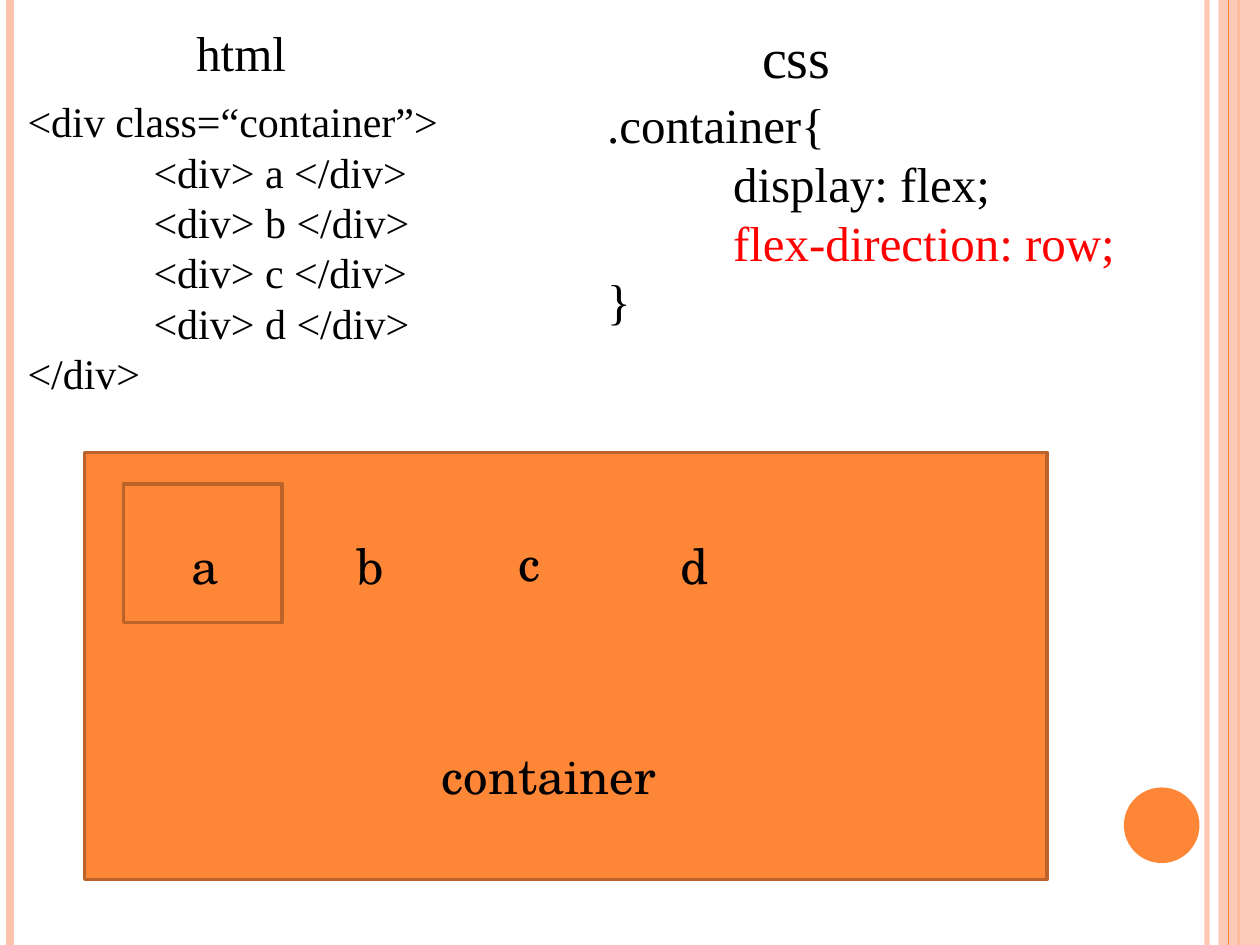
from lxml.etree import SubElement
from pptx import Presentation
from pptx.dml.color import RGBColor
from pptx.enum.shapes import MSO_CONNECTOR, MSO_SHAPE
from pptx.oxml.ns import qn
from pptx.util import Inches, Pt

ORANGE, BROWN, PEACH = "FE8637", "BC6329", "FEC3AE"
BLACK, RED = "000000", "FF0000"
SERIF, SCHOOL = "Times New Roman", "TeX Gyre Schola"

HTML_CODE = [
    [("<div class=“container”>", BLACK)],
    *[[(f"\t<div> {name} </div>", BLACK)] for name in "abcd"],
    [("</div>", BLACK)],
]
CSS_CODE = [
    [(".container{", BLACK)],
    [("\tdisplay: flex;", BLACK)],
    [("\t", BLACK), ("flex-direction: row;", RED)],
    [("}", BLACK)],
]


def rgb(color):
    return RGBColor.from_string(color)


def set_alpha(fill, color, percent):
    """Colour a fill and make it partly transparent."""
    fill.solid()
    fill.fore_color.rgb = rgb(color)
    if percent < 100:
        clr = fill._xPr.find(qn("a:solidFill"))[0]
        SubElement(clr, qn("a:alpha")).set("val", str(percent * 1000))


def add_stripe(s, x, color, width, alpha=100):
    """Draw a vertical line over the full slide height."""
    line = s.shapes.add_connector(
        MSO_CONNECTOR.STRAIGHT, Inches(x), 0, Inches(x), Inches(7.5))
    set_alpha(line.line.fill, color, alpha)
    line.line.width = Pt(width)
    SubElement(line._element.spPr, qn("a:effectLst"))


def add_filled(s, kind, x, y, w, h, color, outline=None, alpha=100):
    sp = s.shapes.add_shape(kind, Inches(x), Inches(y), Inches(w), Inches(h))
    sp.shadow.inherit = False
    set_alpha(sp.fill, color, alpha)
    if outline:
        sp.line.color.rgb = rgb(outline)
        sp.line.width = Pt(2)
    else:
        sp.line.fill.background()


def set_tab(p, position):
    """Give a paragraph one left tab stop."""
    tabs = SubElement(p._p.get_or_add_pPr(), qn("a:tabLst"))
    tab = SubElement(tabs, qn("a:tab"))
    tab.set("pos", str(Inches(position)))
    tab.set("algn", "l")


def add_text(s, x, y, w, h, lines, size, font=SERIF):
    """Add a text box; each line is a list of (text, colour) runs."""
    tf = s.shapes.add_textbox(Inches(x), Inches(y), Inches(w), Inches(h)).text_frame
    tf.word_wrap = True
    for i, runs in enumerate(lines):
        p = tf.paragraphs[0] if i == 0 else tf.add_paragraph()
        if runs[0][0].startswith("\t"):
            set_tab(p, 1)
        for text, color in runs:
            r = p.add_run()
            r.text = text
            r.font.size = Pt(size)
            r.font.name = font
            r.font.color.rgb = rgb(color)


def add_label(s, x, y, w, h, text, size, font=SERIF):
    add_text(s, x, y, w, h, [[(text, BLACK)]], size, font)


def add_frame(s):
    add_stripe(s, 9.58, PEACH, 3, alpha=93)
    add_stripe(s, 0.08, PEACH, 4.5)
    add_stripe(s, 9.83, ORANGE, 1.5)
    add_filled(s, MSO_SHAPE.RECTANGLE, 9.67, 0, 0.33, 7.5, PEACH, alpha=87)
    add_stripe(s, 9.75, ORANGE, 0.75)
    add_filled(s, MSO_SHAPE.OVAL, 8.92, 6.25, 0.6, 0.6, ORANGE)


def main():
    prs = Presentation()
    prs.slide_width, prs.slide_height = Inches(10), Inches(7.5)
    s = prs.slides.add_slide(prs.slide_layouts[6])

    add_frame(s)
    add_filled(s, MSO_SHAPE.RECTANGLE, 0.67, 3.59, 7.64, 3.39, ORANGE, BROWN)
    add_filled(s, MSO_SHAPE.RECTANGLE, 0.98, 3.84, 1.26, 1.1, ORANGE, BROWN)

    add_text(s, 0.12, 0.71, 4.61, 2.52, HTML_CODE, 24)
    add_text(s, 4.72, 0.7, 4.25, 1.99, CSS_CODE, 28)
    add_label(s, 1.46, 0.13, 2.2, 0.57, "html", 28)
    add_label(s, 5.95, 0.13, 2.2, 0.64, "css", 32)

    for name, x, y in [("a", 1.42, 4.2), ("b", 2.73, 4.2),
                       ("c", 4.02, 4.18), ("d", 5.3, 4.2)]:
        add_label(s, x, y, 0.31, 0.57, name, 28, SCHOOL)
    add_label(s, 3.41, 5.87, 2.57, 0.57, "container", 28, SCHOOL)

    prs.save("out.pptx")


if __name__ == "__main__":
    main()
